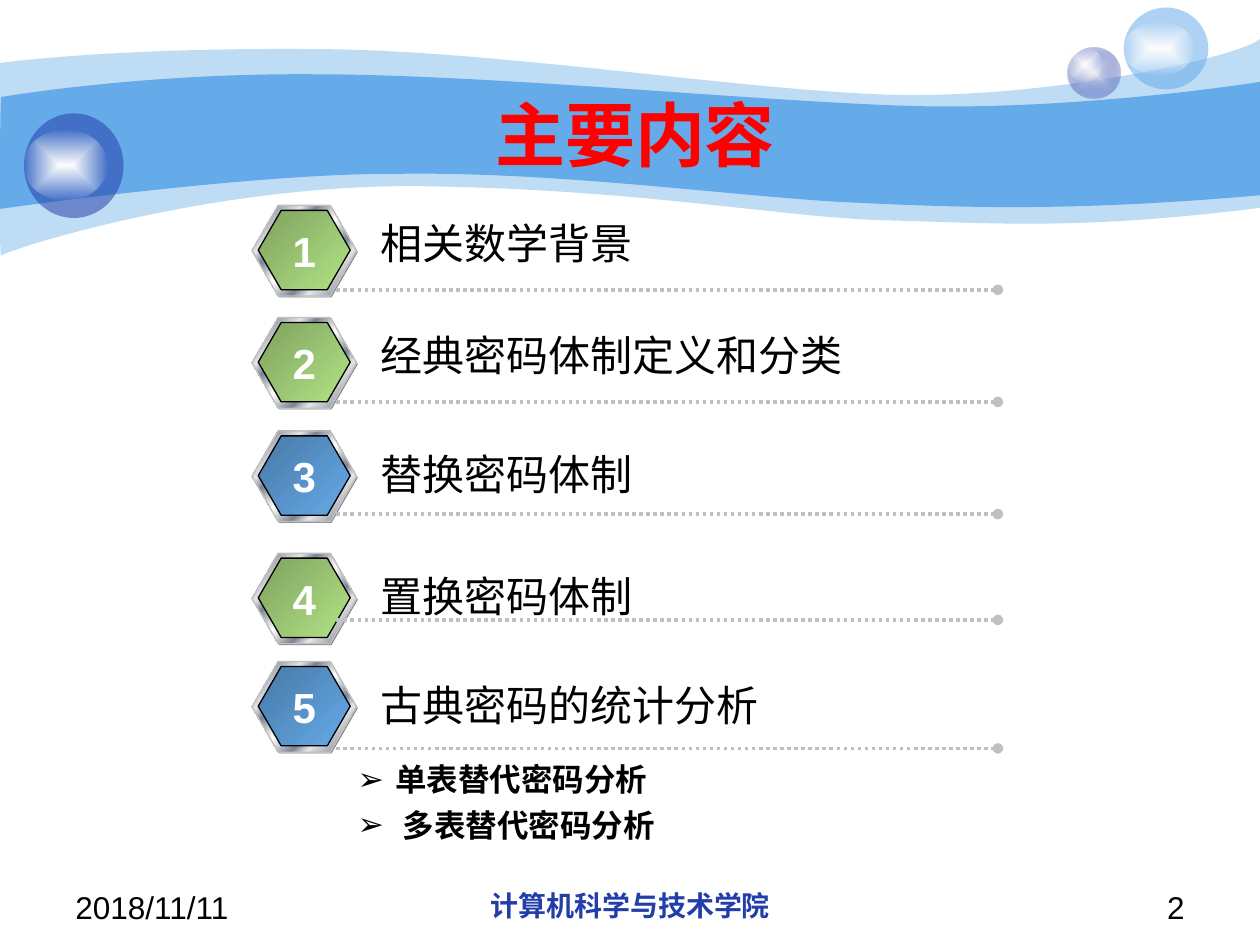
from lxml.etree import SubElement
from pptx import Presentation
from pptx.dml.color import RGBColor
from pptx.enum.dml import MSO_LINE
from pptx.enum.shapes import MSO_CONNECTOR, MSO_SHAPE
from pptx.enum.text import MSO_ANCHOR, MSO_AUTO_SIZE, PP_ALIGN
from pptx.oxml import parse_xml
from pptx.oxml.ns import nsdecls, qn
from pptx.util import Inches, Pt


def paint(shape, stops, angle=None, outline=None):
    """Fill with one (position, hex, {modifier: percent}) stop, or a gradient of several."""
    colors = []
    for _, color, modifiers in stops:
        changes = "".join(f'<a:{name} val="{percent * 1000:.0f}"/>'
                          for name, percent in modifiers.items())
        colors.append(f'<a:srgbClr val="{color}">{changes}</a:srgbClr>')
    if len(stops) == 1:
        fill = f'<a:solidFill {nsdecls("a")}>{colors[0]}</a:solidFill>'
    else:
        marks = "".join(f'<a:gs pos="{stop[0] * 1000}">{color}</a:gs>'
                        for stop, color in zip(stops, colors))
        direction = (f'<a:lin ang="{angle * 60000}" scaled="1"/>' if angle else
                     '<a:path path="shape"><a:fillToRect l="50000" t="50000" '
                     'r="50000" b="50000"/></a:path>')
        fill = f'<a:gradFill {nsdecls("a")}><a:gsLst>{marks}</a:gsLst>{direction}</a:gradFill>'
    shape.shadow.inherit = False
    shape.fill.background()
    properties = shape._element.spPr
    properties.replace(properties.find(qn("a:noFill")), parse_xml(fill))
    if outline:
        shape.line.color.rgb = RGBColor.from_string(outline)
        shape.line.width = Pt(0.75)
    else:
        shape.line.fill.background()


def write(frame, text, size, color="000000", bold=False, align=PP_ALIGN.LEFT, grow=False):
    frame.word_wrap = not grow
    frame.auto_size = MSO_AUTO_SIZE.SHAPE_TO_FIT_TEXT if grow else MSO_AUTO_SIZE.NONE
    paragraph = frame.paragraphs[0]
    paragraph.alignment = align
    run = paragraph.add_run()
    run.text = text
    run.font.color.rgb = RGBColor.from_string(color)
    for name, value in {"name": "Arial", "size": Pt(size), "bold": bold}.items():
        setattr(run.font, name, value)


prs = Presentation()
prs.slide_width, prs.slide_height = Inches(10), Inches(7.5)
slide = prs.slides.add_slide(prs.slide_layouts[5])
shapes = slide.shapes

# Header waves: start point, then Bezier curves; a two-number entry is a straight edge
waves = [
    ({"alpha": 41}, (0, 0.5), [
        (0.24, 0.47, 1.07, 0.38, 2.47, 0.39), (3.86, 0.39, 5.75, 0.7, 6.99, 0.75),
        (8.22, 0.8, 9.8, 0.47, 10, 0.31), (10, 1.65),
        (8.58, 1.83, 7.87, 1.77, 7.05, 1.75), (6.22, 1.73, 5.15, 1.51, 3.43, 1.48),
        (1.72, 1.44, 0.04, 1.99, 0.01, 2.03), (-0.01, 2.08, 0, 0.75, 0, 0.5)]),
    ({}, (0.01, 0.77), [
        (0.02, 0.77, 1.1, 0.58, 2.48, 0.59), (3.86, 0.59, 5.95, 0.8, 7.18, 0.84),
        (8.41, 0.88, 9.76, 0.69, 10, 0.65), (10, 1.55),
        (8.53, 1.68, 7.65, 1.65, 6.82, 1.61), (5.99, 1.58, 4.47, 1.36, 3.17, 1.38),
        (2.03, 1.37, -0.02, 1.66, -0.01, 1.66), (0, 1.66, 0, 0.77, 0.01, 0.77)]),
]
for modifiers, start, edges in waves:
    builder = shapes.build_freeform(*map(Inches, start), scale=1.0)
    builder.add_line_segments([(Inches(edge[i]), Inches(edge[i + 1]))
                               for edge in edges for i in range(0, len(edge), 2)])
    wave = builder.convert_to_shape()
    segments = iter(list(wave._element.iter(qn("a:lnTo"))))
    for edge in edges:
        pieces = [next(segments) for _ in range(len(edge) // 2)]
        if len(pieces) == 3:
            curve = parse_xml(f'<a:cubicBezTo {nsdecls("a")}/>')
            pieces[0].addprevious(curve)
            for piece in pieces:
                curve.append(piece[0])
                piece.getparent().remove(piece)
    paint(wave, [(0, "65AAE9", modifiers)])

# Glass balls, each grouped with its highlight
glow = [(0, "FFFFFF", {}), (100, "FFFFFF", {"alpha": 0})]
balls = [
    ((8.47, 0.38, 0.42, 0.4), (8.47, 0.38, 0.28, 0.27),
     [(0, "233DA9", {"tint": 25.1}), (100, "233DA9", {"alpha": 31})]),
    ((8.92, 0.06, 0.67, 0.65), (8.92, 0.17, 0.56, 0.43), [(0, "65AAE9", {"alpha": 53})]),
    ((0.19, 0.9, 0.79, 0.83), (0.19, 1.03, 0.66, 0.56), [(0, "233DA9", {"alpha": 53})]),
]
for ball_place, glow_place, stops in balls:
    ball = shapes.add_group_shape().shapes
    paint(ball.add_shape(MSO_SHAPE.OVAL, *map(Inches, ball_place)), stops)
    paint(ball.add_shape(MSO_SHAPE.OVAL, *map(Inches, glow_place)), glow)

# Footer
footer = [
    (0.5, 2.33, "2018/11/11", 18, "000000", False, PP_ALIGN.LEFT),
    (3.42, 3.17, "计算机科学与技术学院", 16, "233DA9", True, PP_ALIGN.CENTER),
    (7.17, 2.33, "2", 18, "000000", False, PP_ALIGN.RIGHT),
]
for left, width, *content in footer:
    box = shapes.add_textbox(Inches(left), Inches(7), Inches(width), Inches(0.35))
    write(box.text_frame, *content)

# Title, brought in front of the waves
title = shapes.title
title.left, title.top, title.width, title.height = map(Inches, (1, 0.75, 8.08, 0.62))
title.text_frame.vertical_anchor = MSO_ANCHOR.MIDDLE
write(title.text_frame, "主要内容", 40, "FF0000", True, PP_ALIGN.CENTER)
shapes._spTree.append(title._element)

# Agenda rows: badge top, rule height, topic, topic size, badge gradient, line spacing
steel = [(position, color, {}) for position, color in [
    (0, "E6E6E6"), (8, "7D8496"), (26, "E6E6E6"), (34, "7D8496"), (46, "E6E6E6"),
    (50, "FFFFFF"), (54, "E6E6E6"), (66, "7D8496"), (74, "E6E6E6"), (93, "7D8496"),
    (100, "E6E6E6")]]
green, blue = ([(0, color, {"shade": 46.28}), (100, color, {})]
               for color in ("B2E385", "65AAE9"))
agenda = [
    (1.63, 2.3, "相关数学背景", 2.22, 0.46, green, 0.9),
    (2.52, 3.19, "经典密码体制定义和分类", 4, 0.46, green, 0.9),
    (3.42, 4.08, "替换密码体制", 2.22, 0.5, blue, None),
    (4.39, 4.92, "置换密码体制", 2.22, 0.5, green, None),
    (5.25, 5.94, "古典密码的统计分析", 3.23, 0.5, blue, None),
]
for number, (top, rule_y, topic, width, height, gradient, spacing) in enumerate(agenda, 1):
    badge = shapes.add_group_shape().shapes
    layers = [
        (2.01, top + 0.01, 0.83, 0.72, [(0, "808080", {})], None),
        (2, top, 0.83, 0.72, steel, "C0C0C0"),
        (2.05, top + 0.04, 0.73, 0.63, gradient, "000000"),
    ]
    for *place, stops, edge_color in layers:
        hexagon = badge.add_shape(MSO_SHAPE.HEXAGON, *map(Inches, place))
        hexagon.adjustments[0] = 0.289
        paint(hexagon, stops, 45, edge_color)

    rule = shapes.add_connector(MSO_CONNECTOR.STRAIGHT, Inches(2.67), Inches(rule_y),
                                Inches(7.92), Inches(rule_y))
    rule.line.color.rgb = RGBColor.from_string("C0C0C0")
    rule.line.width = Pt(2)
    rule.line.dash_style = MSO_LINE.ROUND_DOT
    SubElement(rule.line._get_or_add_ln(), qn("a:tailEnd"), type="oval")
    SubElement(rule._element.spPr, qn("a:effectLst"))

    topic_box = shapes.add_textbox(Inches(2.92), Inches(top + 0.09),
                                   Inches(width), Inches(height))
    write(topic_box.text_frame, topic, 24, grow=True)
    topic_box.text_frame.paragraphs[0].line_spacing = spacing
    number_box = shapes.add_textbox(Inches(2.22), Inches(top + 0.11), Inches(0.39), Inches(0.5))
    write(number_box.text_frame, str(number), 24, "FFFFFF", True, PP_ALIGN.CENTER, True)

# Subtopics of the last row
subtopics = shapes.add_textbox(Inches(2.08), Inches(6.02), Inches(5), Inches(0.75)).text_frame
subtopics.word_wrap = True
subtopics.auto_size = MSO_AUTO_SIZE.SHAPE_TO_FIT_TEXT
for index, (subtopic, indent) in enumerate([("单表替代密码分析", 0.96), ("多表替代密码分析", 1.02)]):
    paragraph = subtopics.add_paragraph() if index else subtopics.paragraphs[0]
    paragraph.level = 1
    properties = paragraph._p.get_or_add_pPr()
    properties.set("marL", str(Inches(indent)))
    properties.set("indent", str(Inches(0.66 - indent)))
    SubElement(properties, qn("a:buFont"), typeface="Arial")
    SubElement(properties, qn("a:buChar"), char="➢")
    paragraph.text = subtopic
    paragraph.line_spacing = 0.9
    if index:
        paragraph.space_before = Pt(6.3)
    run_font = paragraph.runs[0].font
    run_font.color.rgb = RGBColor.from_string("000000")
    for name, value in {"name": "Arial", "size": Pt(18), "bold": True}.items():
        setattr(run_font, name, value)

prs.save("out.pptx")
